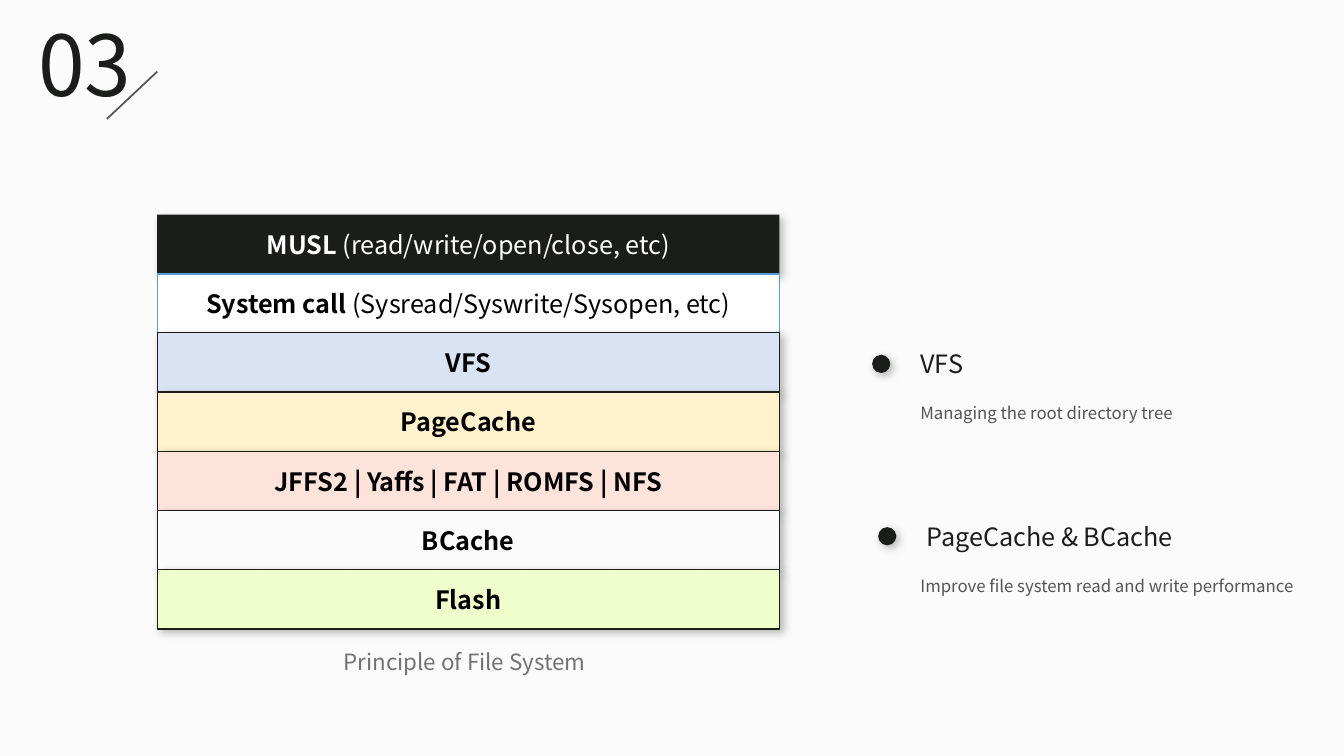
from dataclasses import dataclass

from lxml import etree
from pptx import Presentation
from pptx.dml.color import RGBColor
from pptx.enum.shapes import MSO_CONNECTOR, MSO_SHAPE
from pptx.enum.text import MSO_ANCHOR, MSO_AUTO_SIZE, PP_ALIGN
from pptx.oxml import parse_xml
from pptx.oxml.ns import nsdecls, qn
from pptx.util import Inches, Pt

RECT, OVAL = MSO_SHAPE.RECTANGLE, MSO_SHAPE.OVAL
STRAIGHT = MSO_CONNECTOR.STRAIGHT
MIDDLE = MSO_ANCHOR.MIDDLE
GROW = MSO_AUTO_SIZE.SHAPE_TO_FIT_TEXT
LEFT, CENTER, JUSTIFY = PP_ALIGN.LEFT, PP_ALIGN.CENTER, PP_ALIGN.JUSTIFY


@dataclass(frozen=True)
class Theme:
    font: str = "Noto Sans CJK SC"
    paper: str = "FBFBFB"
    ink: str = "1A1D1A"
    gray: str = "545454"
    muted: str = "767171"
    shade: str = "505950"
    white: str = "FFFFFF"
    black: str = "000000"
    blue: str = "5B9BD5"
    number: int = 60
    head: int = 18
    caption: int = 16
    note: int = 12


THEME = Theme()

# Bold text, plain text, fill, text colour, line colour, line width, shadow
LAYERS = [
    ("MUSL ", "(read/write/open/close, etc)", THEME.ink, THEME.white, None, 0, True),
    ("System call ", "(Sysread/Syswrite/Sysopen, etc)", THEME.white, THEME.black,
     THEME.blue, 1, False),
    ("VFS", "", "DAE3F3", THEME.black, THEME.ink, 0.75, True),
    ("PageCache", "", "FFF2CC", THEME.black, THEME.ink, 1, True),
    ("JFFS2 | Yaffs | FAT | ROMFS | NFS", "", "FEE3DB", THEME.black, THEME.ink, 1, True),
    ("BCache", "", THEME.paper, THEME.black, THEME.ink, 1, True),
    ("Flash", "", "F0FECC", THEME.black, THEME.ink, 1, True),
]
STACK_LEFT, STACK_TOP = 1.56, 2.13
LAYER_WIDTH, LAYER_HEIGHT = 6.17, 0.59
PITCH = 3.52 / 6

# Head, head width, note, top, shift of the dot and head
POINTS = [
    ("VFS", 0.63, "Managing the root directory tree", 3.41, 0),
    ("PageCache & BCache", 3.04, "Improve file system read and write performance", 5.12, 0.06),
]


def rgb(code):
    return RGBColor.from_string(code)


def set_font(font, size, color):
    font.name = THEME.font
    font.size = Pt(size)
    font.color.rgb = rgb(color)


def add_text(shapes, box, text, size, color, align=LEFT, wrap=True, spacing=None):
    frame = shapes.add_textbox(*map(Inches, box)).text_frame
    frame.word_wrap = wrap
    frame.auto_size = GROW
    para = frame.paragraphs[0]
    para.text = text
    para.alignment = align
    para.line_spacing = spacing
    set_font(para.font, size, color)


def add_shadow(shape):
    """Give the shape a soft shadow to its lower right."""
    effects = shape._element.spPr.find(qn("a:effectLst"))
    effects.append(parse_xml(
        f'<a:outerShdw {nsdecls("a")} blurRad="{Pt(6)}" dist="{Pt(3)}" dir="2700000"'
        f' algn="tl" rotWithShape="0"><a:srgbClr val="{THEME.shade}">'
        '<a:alpha val="40000"/></a:srgbClr></a:outerShdw>'))


def add_solid(shapes, kind, box, fill, line=None, width=0, shadow=True):
    shape = shapes.add_shape(kind, *map(Inches, box))
    shape.fill.solid()
    shape.fill.fore_color.rgb = rgb(fill)
    if line:
        shape.line.color.rgb = rgb(line)
        shape.line.width = Pt(width)
    else:
        shape.line.fill.background()
    shape.shadow.inherit = False
    if shadow:
        add_shadow(shape)
    return shape


def add_layer(shapes, top, bold, plain, fill, color, line, width, shadow):
    box = STACK_LEFT, top, LAYER_WIDTH, LAYER_HEIGHT
    frame = add_solid(shapes, RECT, box, fill, line, width, shadow).text_frame
    frame.word_wrap = True
    frame.vertical_anchor = MIDDLE
    para = frame.paragraphs[0]
    para.alignment = CENTER
    set_font(para.font, THEME.head, color)
    for text, heavy in ((bold, True), (plain, False)):
        if text:
            run = para.add_run()
            run.text = text
            run.font.bold = heavy


def add_point(shapes, head, width, note, top, shift):
    add_solid(shapes, OVAL, (8.65 + shift, top + 0.11, 0.18, 0.18), THEME.ink)
    add_text(shapes, (9.03 + shift, top, width, 0.4), head, THEME.head, THEME.ink, wrap=False)
    add_text(shapes, (9.03, top + 0.48, 4.24, 0.34), note, THEME.note, THEME.gray, spacing=1.3)


def add_slash(shapes):
    line = shapes.add_connector(STRAIGHT, *map(Inches, (1.56, 0.71, 1.06, 1.18)))
    line.line.color.rgb = rgb(THEME.gray)
    line.line.width = Pt(1.25)
    etree.SubElement(line._element.spPr, qn("a:effectLst"))


def main():
    deck = Presentation()
    deck.slide_width, deck.slide_height = Inches(13.33), Inches(7.5)
    slide = deck.slides.add_slide(deck.slide_layouts[6])
    slide.background.fill.solid()
    slide.background.fill.fore_color.rgb = rgb(THEME.paper)
    shapes = slide.shapes

    add_text(shapes, (0.28, 0.07, 1.14, 1.11), "03", THEME.number, THEME.ink, JUSTIFY)
    add_slash(shapes)

    stack = shapes.add_group_shape().shapes
    for i, layer in enumerate(LAYERS):
        add_layer(stack, STACK_TOP + i * PITCH, *layer)
    add_text(shapes, (3.31, 6.38, 4.42, 0.37), "Principle of File System",
             THEME.caption, THEME.muted)

    for point in POINTS:
        add_point(shapes.add_group_shape().shapes, *point)

    deck.save("out.pptx")


if __name__ == "__main__":
    main()
